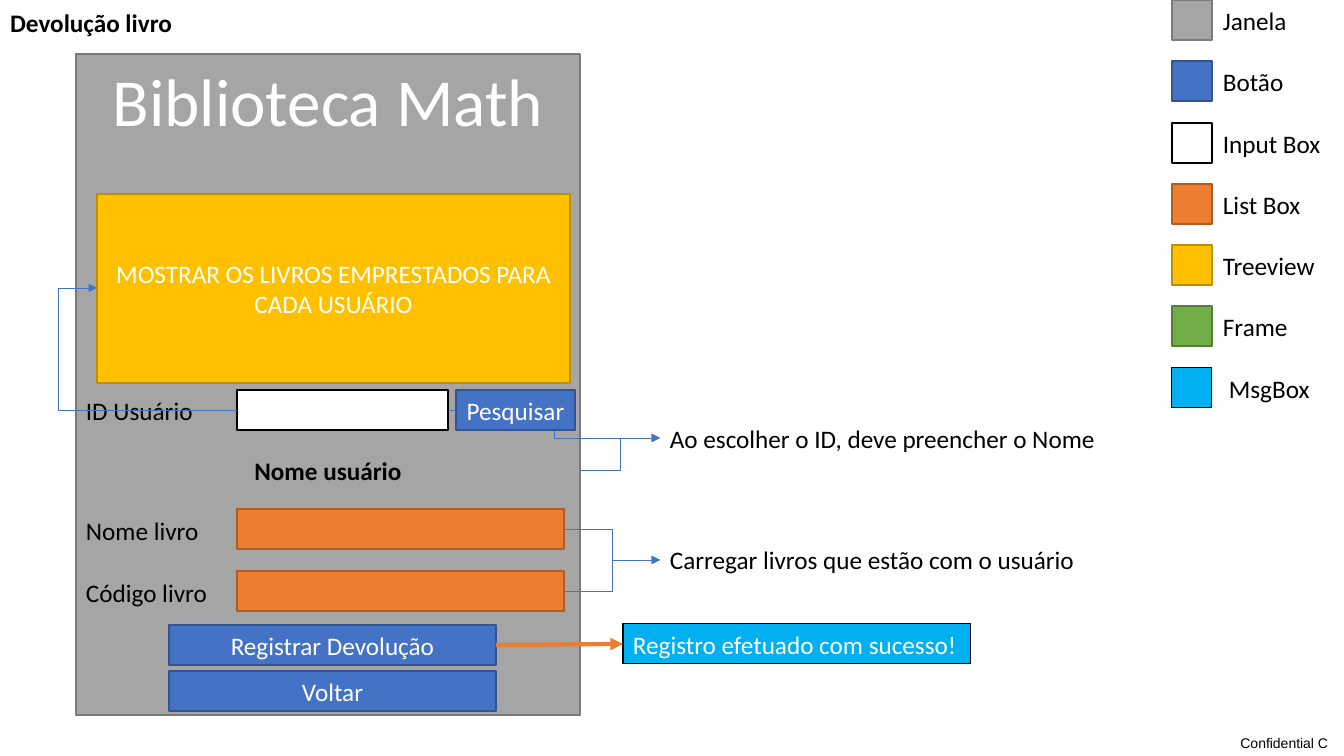
import pptx
import pptx.util
from dataclasses import dataclass
from lxml import etree
from pptx.dml.color import RGBColor
from pptx.enum.shapes import MSO_CONNECTOR, MSO_SHAPE
from pptx.enum.text import MSO_ANCHOR, MSO_AUTO_SIZE, PP_ALIGN
from pptx.oxml.ns import qn


@dataclass(frozen=True)
class Theme:
    font: str = "Calibri"
    footer_font: str = "Arial"
    body: int = 18
    heading: int = 48
    footer: int = 10
    black: str = "000000"
    white: str = "FFFFFF"
    arrow: str = "4472C4"
    strong_arrow: str = "ED7D31"


T = Theme()

# Content: widget kinds as (fill, outline, outline width in pt)
KINDS = {
    "Janela": ("A5A5A5", "7A7A7A", 1),
    "Botão": ("4472C4", "325491", 1),
    "Input Box": ("FFFFFF", "000000", 1),
    "List Box": ("ED7D31", "AF5C24", 1),
    "Treeview": ("FFC000", "BD8E00", 1),
    "Frame": ("70AD47", "538035", 1),
    "MsgBox": ("00B0F0", "000000", 0.75),
}
LEGEND_WIDTHS = [85, 82, 119, 99, 113, 86, 102]
TITLE = "Devolução livro"
FOOTER = "Confidential C"

# Labels: text, left, top, width
LABELS = [
    ("ID Usuário", 76, 390, 128),
    ("Nome livro", 76, 510, 134),
    ("Código livro", 76, 572, 143),
    ("Ao escolher o ID, deve preencher o Nome", 660, 418, 451),
    ("Carregar livros que estão com o usuário", 660, 539, 429),
]
# Widgets: kind, text, left, top, width, height
WIDGETS = [
    ("Input Box", "", 237, 390, 211, 40),
    ("List Box", "", 237, 509, 327, 40),
    ("List Box", "", 237, 571, 327, 40),
    ("Botão", "Voltar", 169, 671, 327, 40),
    ("Treeview", "MOSTRAR OS LIVROS EMPRESTADOS PARA CADA USUÁRIO", 97, 194, 473, 189),
]
# Elbow arrows: start, end, bend position (share of the width, in 1/100000)
ELBOWS = [
    ((564, 591), (660, 560), 50000),
    ((564, 529), (660, 560), 50000),
    ((449, 410), (660, 438), 50000),
    ((580, 470), (660, 438), 50000),
    ((237, 410), (97, 288), 127600),
]


def px(n):
    return pptx.util.Emu(round(n * 914400 / 100.8))


def rgb(value):
    return RGBColor.from_string(value)


def write(sp, text, color=T.black, size=T.body, align=PP_ALIGN.LEFT,
          anchor=MSO_ANCHOR.TOP, wrap=True, bold=False, font=T.font):
    tf = sp.text_frame
    tf.word_wrap = wrap
    tf.vertical_anchor = anchor
    p = tf.paragraphs[0]
    p.alignment = align
    r = p.add_run()
    r.text = text
    r.font.name, r.font.size, r.font.bold = font, pptx.util.Pt(size), bold
    r.font.color.rgb = rgb(color)
    return tf


def label(text, x, y, w, h=40, **style):
    sp = s.shapes.add_textbox(px(x), px(y), px(w), px(h))
    tf = write(sp, text, **style)
    tf.auto_size = MSO_AUTO_SIZE.SHAPE_TO_FIT_TEXT
    return tf


def widget(kind, text, x, y, w, h, **style):
    fill, outline, width = KINDS[kind]
    sp = s.shapes.add_shape(MSO_SHAPE.RECTANGLE, px(x), px(y), px(w), px(h))
    sp.shadow.inherit = False
    sp.fill.solid()
    sp.fill.fore_color.rgb = rgb(fill)
    sp.line.color.rgb = rgb(outline)
    sp.line.width = pptx.util.Pt(width)
    if text:
        look = dict(color=T.white, align=PP_ALIGN.CENTER, anchor=MSO_ANCHOR.MIDDLE)
        write(sp, text, **{**look, **style})
    return sp


def arrow(kind, start, end, color, width):
    cx = s.shapes.add_connector(kind, *(px(n) for n in (*start, *end)))
    cx.line.color.rgb = rgb(color)
    cx.line.width = pptx.util.Pt(width)
    etree.SubElement(cx.line._get_or_add_ln(), qn("a:tailEnd"), type="triangle")
    etree.SubElement(cx._element.spPr, qn("a:effectLst"))
    return cx


prs = pptx.Presentation()
prs.slide_width, prs.slide_height = px(1344), px(756)
s = prs.slides.add_slide(prs.slide_layouts[5])

# Title and footer
title = s.shapes.title
title.left, title.top, title.width, title.height = px(0), px(2), px(183), px(40)
write(title, TITLE, wrap=False, bold=True).auto_size = MSO_AUTO_SIZE.NONE
tf = label(FOOTER, 1225, 729, 119, 27, size=T.footer, font=T.footer_font,
           align=PP_ALIGN.RIGHT, anchor=MSO_ANCHOR.MIDDLE)
tf.auto_size = MSO_AUTO_SIZE.NONE
tf.margin_left = tf.margin_top = tf.margin_bottom = 0
tf.margin_right = px(16)

# Window with its fields and notes
widget("Janela", "Biblioteca Math", 76, 54, 504, 661,
       size=T.heading, anchor=MSO_ANCHOR.TOP)
for text, x, y, w in LABELS:
    label(text, x, y, w, wrap=False)
label("Nome usuário", 76, 450, 504, align=PP_ALIGN.CENTER, bold=True)
for item in WIDGETS:
    widget(*item)
register = widget("Botão", "Registrar Devolução", 169, 625, 327, 40)
message = widget("MsgBox", "Registro efetuado com sucesso!", 623, 624, 348, 40,
                 align=PP_ALIGN.LEFT, anchor=MSO_ANCHOR.TOP, wrap=False)

# Arrows
for start, end, bend in ELBOWS:
    cx = arrow(MSO_CONNECTOR.ELBOW, start, end, T.arrow, 0.5)
    guides = cx._element.spPr.find(qn("a:prstGeom")).get_or_add_avLst()
    etree.SubElement(guides, qn("a:gd"), name="adj1", fmla=f"val {bend}")
cx = arrow(MSO_CONNECTOR.STRAIGHT, (496, 645), (623, 644), T.strong_arrow, 3)
cx.begin_connect(register, 3)
cx.end_connect(message, 1)

# Search button lies over the arrows
widget("Botão", "Pesquisar", 456, 390, 119, 40)

# Legend
for i, (kind, w) in enumerate(zip(KINDS, LEGEND_WIDTHS)):
    y = round(61.3 * i)
    widget(kind, "", 1172, y, 40, 40)
    label(kind, 1219 if kind == "MsgBox" else 1213, y, w, wrap=False)

prs.save("out.pptx")
